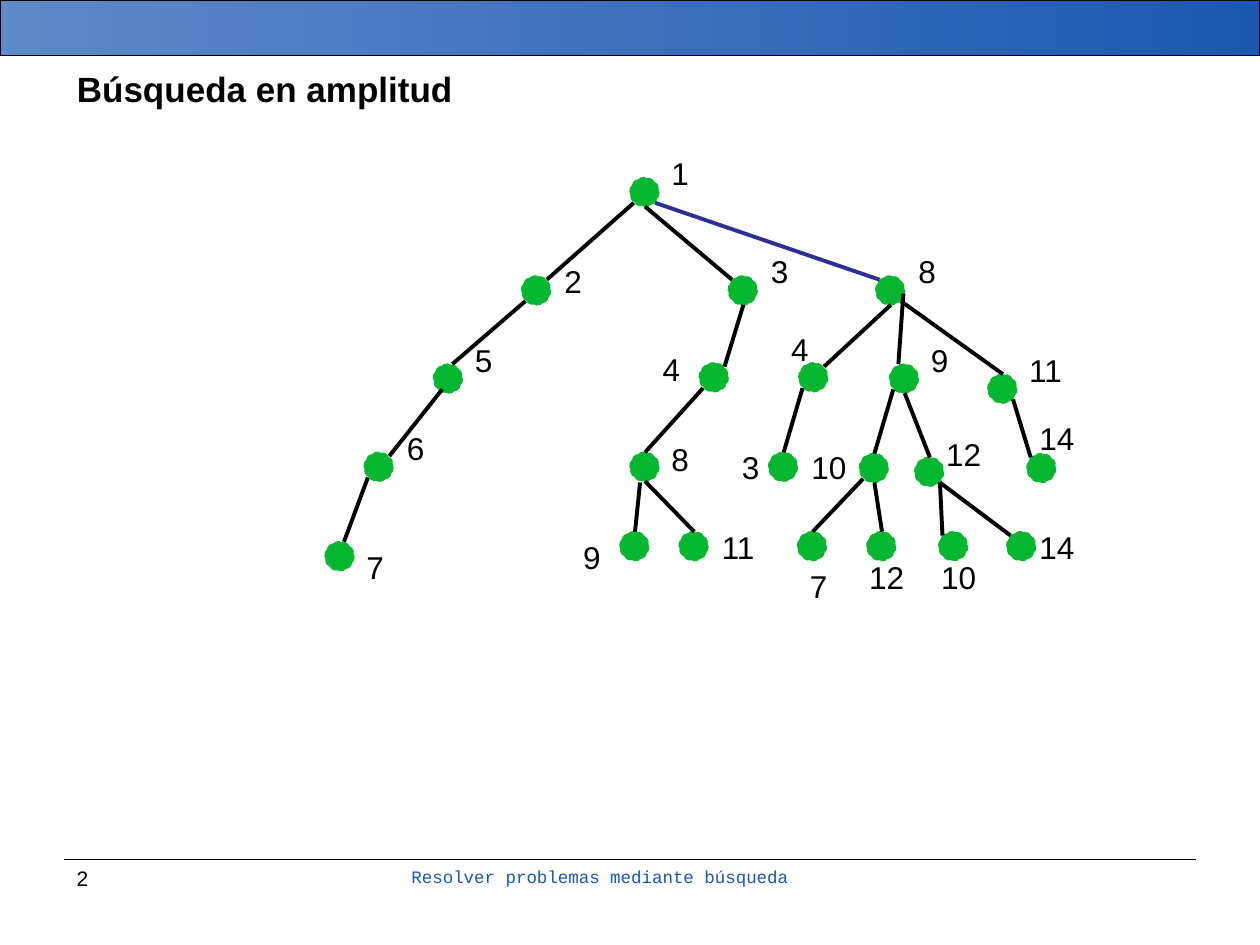
from lxml import etree
from pptx import Presentation
from pptx.dml.color import RGBColor
from pptx.enum.dml import MSO_LINE
from pptx.enum.shapes import MSO_CONNECTOR, MSO_SHAPE
from pptx.enum.text import MSO_ANCHOR, MSO_AUTO_SIZE, PP_ALIGN
from pptx.oxml.ns import qn
from pptx.util import Pt

RECT, OVAL = MSO_SHAPE.RECTANGLE, MSO_SHAPE.OVAL
STRAIGHT, DASH = MSO_CONNECTOR.STRAIGHT, MSO_LINE.DASH
LEFT, CENTER = PP_ALIGN.LEFT, PP_ALIGN.CENTER
TOP, MIDDLE = MSO_ANCHOR.TOP, MSO_ANCHOR.MIDDLE
FIT, FIXED = MSO_AUTO_SIZE.SHAPE_TO_FIT_TEXT, MSO_AUTO_SIZE.NONE

PX = 9144
COLORS = {"blue": "1B58B1", "green": "06B630", "indigo": "2F2F98", "black": "000000"}
FORMATS = {
    "title": {"name": "Arial", "size": Pt(20), "bold": True},
    "label": {"name": "Arial", "size": Pt(18)},
    "number": {"name": "Arial", "size": Pt(12)},
    "footer": {"name": "Courier New", "size": Pt(10)},
}

NODE = 23
N, S = (12, 0), (12, 23)
NW, NE, SW, SE = (3, 3), (20, 3), (3, 20), (20, 20)

NODES = {
    "root": (500, 141, "1", 523, 117, 31),
    "a": (414, 219, "2", 438, 203, 31),
    "a1": (344, 289, "5", 367, 266, 31),
    "a2": (289, 359, "6", 313, 336, 31),
    "a3": (258, 430, "7", 281, 430, 31),
    "b": (578, 219, "3", 602, 195, 31),
    "b1": (555, 288, "4", 516, 273, 31),
    "b2": (500, 359, "8", 523, 344, 39),
    "b3": (492, 422, "9", 453, 422, 31),
    "b4": (539, 422, "11", 563, 414, 55),
    "c": (695, 219, "8", 719, 195, 31),
    "c1": (634, 288, "4", 618, 257, 31),
    "c2": (610, 359, "3", 579, 351, 31),
    "d1": (706, 289, "9", 729, 266, 31),
    "d2": (682, 360, "10", 634, 351, 55),
    "d3": (633, 422, "7", 633, 445, 31),
    "d4": (688, 422, "12", 680, 438, 55),
    "d5": (726, 363, "12", 741, 340, 55),
    "d6": (745, 422, "10", 737, 438, 55),
    "d7": (799, 422, "14", 815, 414, 63),
    "e1": (784, 297, "11", 807, 274, 55),
    "e2": (815, 360, "14", 815, 328, 63),
}

EDGES = [
    ("root", SW, "a", NE, "black"),
    ("root", S, "b", NW, "black"),
    ("root", SE, "c", NW, "indigo"),
    ("a", SW, "a1", (15, 0), "black"),
    ("a1", (7, 20), "a2", NE, "black"),
    ("a2", SW, "a3", (15, 0), "black"),
    ("b", S, "b1", NE, "black"),
    ("b1", SW, "b2", N, "black"),
    ("b2", (8, 24), "b3", N, "black"),
    ("b2", S, "b4", N, "black"),
    ("c", S, "c1", NE, "black"),
    ("c1", SW, "c2", N, "black"),
    ("c", (22, 14), "d1", (7, 0), "black"),
    ("d1", SW, "d2", N, "black"),
    ("d2", SW, "d3", N, "black"),
    ("d2", S, "d4", N, "black"),
    ("d1", S, "d5", N, "black"),
    ("d5", SE, "d6", NW, "black"),
    ("d5", SE, "d7", NW, "black"),
    ("c", SE, "e1", N, "black"),
    ("e1", SE, "e2", NW, "black"),
]


def rgb(color):
    return RGBColor.from_string(COLORS[color])


class Deck:
    def __init__(self, w, h):
        self.prs = Presentation()
        self.prs.slide_width, self.prs.slide_height = w * PX, h * PX
        self.s = self.prs.slides.add_slide(self.prs.slide_layouts[5])

    def set_text(self, sp, text, style, color, align, anchor, fit):
        tf = sp.text_frame
        frame = {"word_wrap": True, "vertical_anchor": anchor, "auto_size": fit}
        for key, value in frame.items():
            setattr(tf, key, value)
        p = tf.paragraphs[0]
        p.alignment = align
        r = p.add_run()
        r.text = text
        for key, value in FORMATS[style].items():
            setattr(r.font, key, value)
        r.font.color.rgb = rgb(color)

    def title(self, box, text):
        sp = self.s.shapes.title
        sp.left, sp.top, sp.width, sp.height = (v * PX for v in box)
        self.set_text(sp, text, "title", "black", LEFT, MIDDLE, FIXED)

    def text(self, box, text, style, color="black", align=LEFT, fit=FIXED):
        sp = self.s.shapes.add_textbox(*(v * PX for v in box))
        self.set_text(sp, text, style, color, align, TOP, fit)

    def shape(self, kind, box, line):
        sp = self.s.shapes.add_shape(kind, *(v * PX for v in box))
        sp.shadow.inherit = False
        sp.line.color.rgb = rgb(line)
        sp.line.width = Pt(0.75)
        return sp

    def band(self, box):
        sp = self.shape(RECT, box, "black")
        sp.fill.gradient()
        sp.fill.gradient_angle = 0
        for stop in sp.fill.gradient_stops:
            stop.color.rgb = rgb("blue")
        first = next(sp._element.spPr.iter(qn("a:srgbClr")))
        etree.SubElement(first, qn("a:alpha"), val="70000")

    def node(self, x, y):
        sp = self.shape(OVAL, (x, y, NODE, NODE), "green")
        sp.fill.solid()
        sp.fill.fore_color.rgb = rgb("green")
        sp.line.dash_style = DASH

    def line(self, start, end, color, width):
        sp = self.s.shapes.add_connector(STRAIGHT, *(v * PX for v in (*start, *end)))
        sp.line.color.rgb = rgb(color)
        sp.line.width = Pt(width)
        etree.SubElement(sp._element.spPr, qn("a:effectLst"))


def site(name, offset):
    x, y = NODES[name][:2]
    return x + offset[0], y + offset[1]


def main():
    deck = Deck(1000, 750)
    deck.band((0, 0, 1000, 44))
    deck.line((51, 682), (949, 682), "black", 0.75)
    deck.text((161, 682, 630, 52), "Resolver problemas mediante búsqueda", "footer", "blue", CENTER)
    deck.text((51, 682, 79, 52), "2", "number")
    deck.title((51, 44, 898, 52), "Búsqueda en amplitud")
    for x, y, label, left, top, width in NODES.values():
        deck.node(x, y)
        deck.text((left, top, width, 40), label, "label", fit=FIT)
    for parent, begin, child, end, color in EDGES:
        deck.line(site(parent, begin), site(child, end), color, 2.25)
    deck.prs.save("out.pptx")


if __name__ == "__main__":
    main()
